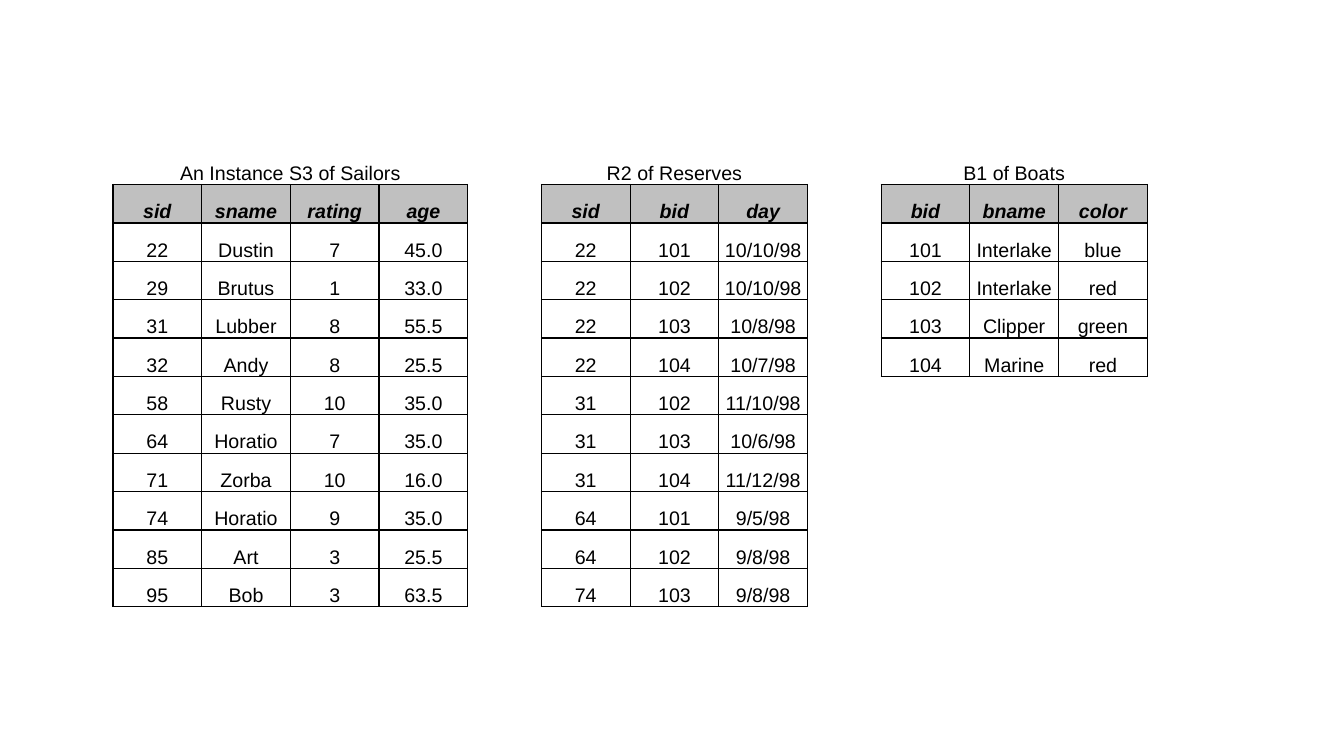
from lxml import etree
from pptx import Presentation
from pptx import util as u
from pptx.dml.color import RGBColor
from pptx.enum import text
from pptx.oxml import ns

BLACK = RGBColor(0x00, 0x00, 0x00)
HEADER_GRAY = RGBColor(0xC0, 0xC0, 0xC0)
FONT = "Arial"
PLAIN_STYLE = "{2D5ABB26-0587-4C30-8999-92F81FD0307C}"  # no style, no grid
COLUMN_WIDTH, GAP_WIDTH = 0.88, 0.73
SIDES = {"a:lnL": (0, -1), "a:lnR": (0, 1), "a:lnT": (-1, 0), "a:lnB": (1, 0)}

# Relations: caption, then field names and records
RELATIONS = [
    ("An Instance S3 of Sailors", [
        ("sid", "sname", "rating", "age"),
        ("22", "Dustin", "7", "45.0"),
        ("29", "Brutus", "1", "33.0"),
        ("31", "Lubber", "8", "55.5"),
        ("32", "Andy", "8", "25.5"),
        ("58", "Rusty", "10", "35.0"),
        ("64", "Horatio", "7", "35.0"),
        ("71", "Zorba", "10", "16.0"),
        ("74", "Horatio", "9", "35.0"),
        ("85", "Art", "3", "25.5"),
        ("95", "Bob", "3", "63.5")]),
    ("R2 of Reserves", [
        ("sid", "bid", "day"),
        ("22", "101", "10/10/98"),
        ("22", "102", "10/10/98"),
        ("22", "103", "10/8/98"),
        ("22", "104", "10/7/98"),
        ("31", "102", "11/10/98"),
        ("31", "103", "10/6/98"),
        ("31", "104", "11/12/98"),
        ("64", "101", "9/5/98"),
        ("64", "102", "9/8/98"),
        ("74", "103", "9/8/98")]),
    ("B1 of Boats", [
        ("bid", "bname", "color"),
        ("101", "Interlake", "blue"),
        ("102", "Interlake", "red"),
        ("103", "Clipper", "green"),
        ("104", "Marine", "red")]),
]


def write_text(cell, content, size=14, bold=False, italic=False, color=BLACK):
    paragraph = cell.text_frame.paragraphs[0]
    paragraph.alignment = text.PP_ALIGN.CENTER
    paragraph.line_spacing = 1.07
    run = paragraph.add_run()
    run.text = content
    run.font.name, run.font.size = FONT, u.Pt(size)
    run.font.bold, run.font.italic = bold, italic
    run.font.color.rgb = color


def add_border(cell, side, visible):
    properties = cell._tc.get_or_add_tcPr()
    line = etree.SubElement(properties, ns.qn(side), w=str(u.Pt(1)))
    if visible:
        fill = etree.SubElement(line, ns.qn("a:solidFill"))
        etree.SubElement(fill, ns.qn("a:srgbClr"), val=str(BLACK))
    else:
        etree.SubElement(line, ns.qn("a:noFill"))


def format_cells(table, boxed):
    """Outline every boxed position; neighbours share the same edges."""
    for row in range(len(table.rows)):
        for column in range(len(table.columns)):
            cell = table.cell(row, column)
            cell.vertical_anchor = text.MSO_ANCHOR.BOTTOM
            cell.margin_left = cell.margin_right = cell.margin_top = u.Inches(0.01)
            cell.margin_bottom = 0
            for side, (down, right) in SIDES.items():
                neighbour = (row + down, column + right)
                add_border(cell, side, (row, column) in boxed or neighbour in boxed)
            if row == 1 and (row, column) in boxed:
                cell.fill.solid()
                cell.fill.fore_color.rgb = HEADER_GRAY
            else:
                cell.fill.background()


def fill_relation(table, first_column, caption, records):
    """Write one relation and return the positions it boxes."""
    last_column = first_column + len(records[0]) - 1
    table.cell(0, first_column).merge(table.cell(0, last_column))
    write_text(table.cell(0, first_column), caption)
    boxed = set()
    for row, record in enumerate(records, start=1):
        for column, value in enumerate(record, start=first_column):
            write_text(table.cell(row, column), value, bold=row == 1, italic=row == 1)
            boxed.add((row, column))
    return boxed


def add_relations(slide, left, top, height):
    # Column widths, with a narrow gap between relations
    widths = []
    for _, records in RELATIONS:
        widths += [GAP_WIDTH] * bool(widths) + [COLUMN_WIDTH] * len(records[0])
    row_count = 1 + max(len(records) for _, records in RELATIONS)
    table = slide.shapes.add_table(
        row_count, len(widths), u.Inches(left), u.Inches(top),
        u.Inches(sum(widths)), u.Inches(height)).table
    table.first_row = table.horz_banding = False
    table._tbl.tblPr.find(ns.qn("a:tableStyleId")).text = PLAIN_STYLE
    for column, width in zip(table.columns, widths):
        column.width = u.Inches(width)

    # Contents, then borders and fills
    boxed, first_column = set(), 0
    for caption, records in RELATIONS:
        boxed |= fill_relation(table, first_column, caption, records)
        first_column += len(records[0]) + 1
    format_cells(table, boxed)


presentation = Presentation()
presentation.slide_width, presentation.slide_height = u.Inches(13.33), u.Inches(7.5)
slide = presentation.slides.add_slide(presentation.slide_layouts[6])
add_relations(slide, left=1.12, top=1.45, height=4.57)
presentation.save("out.pptx")
